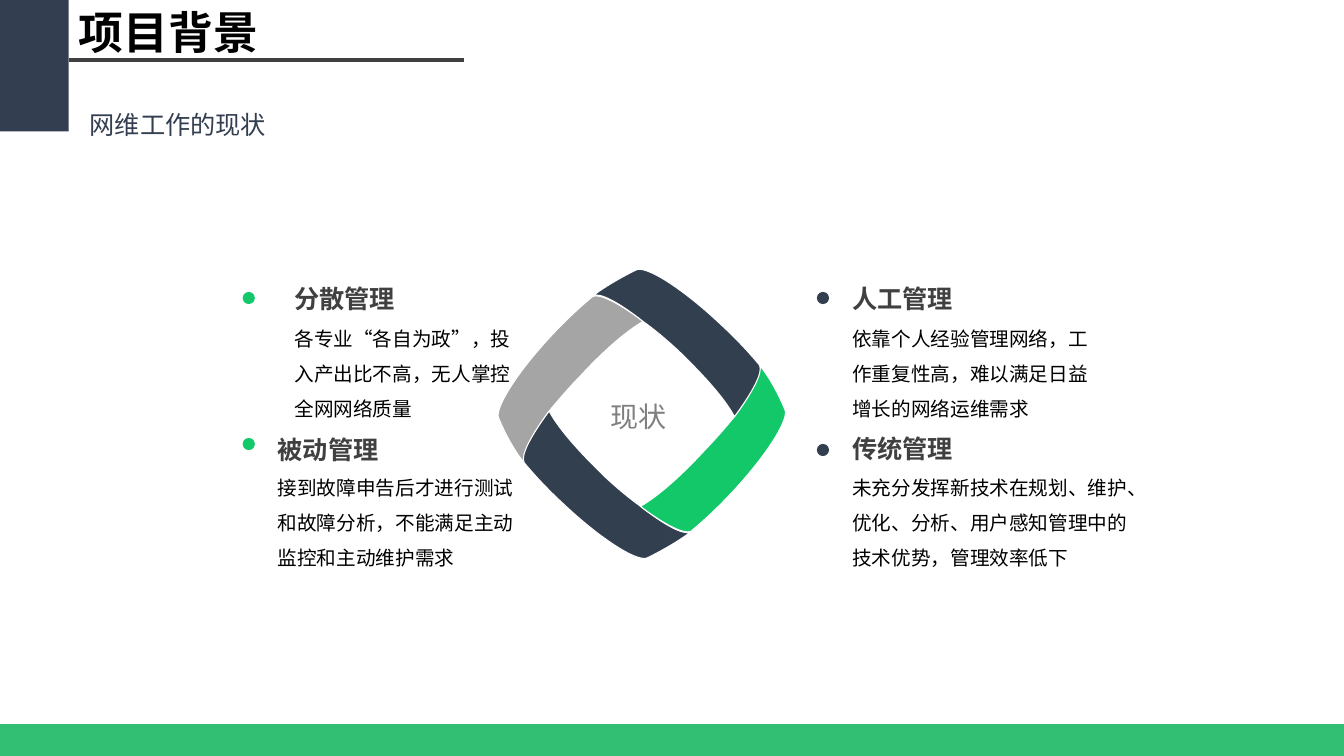
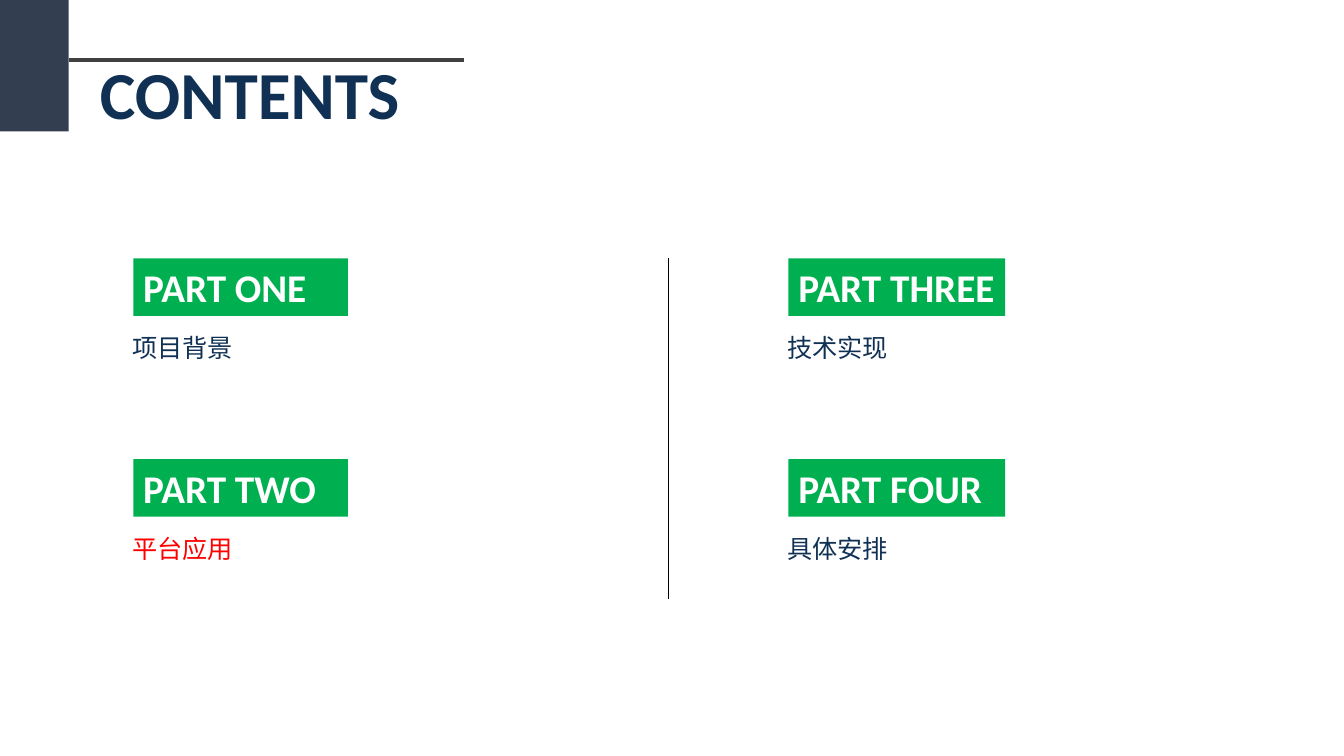
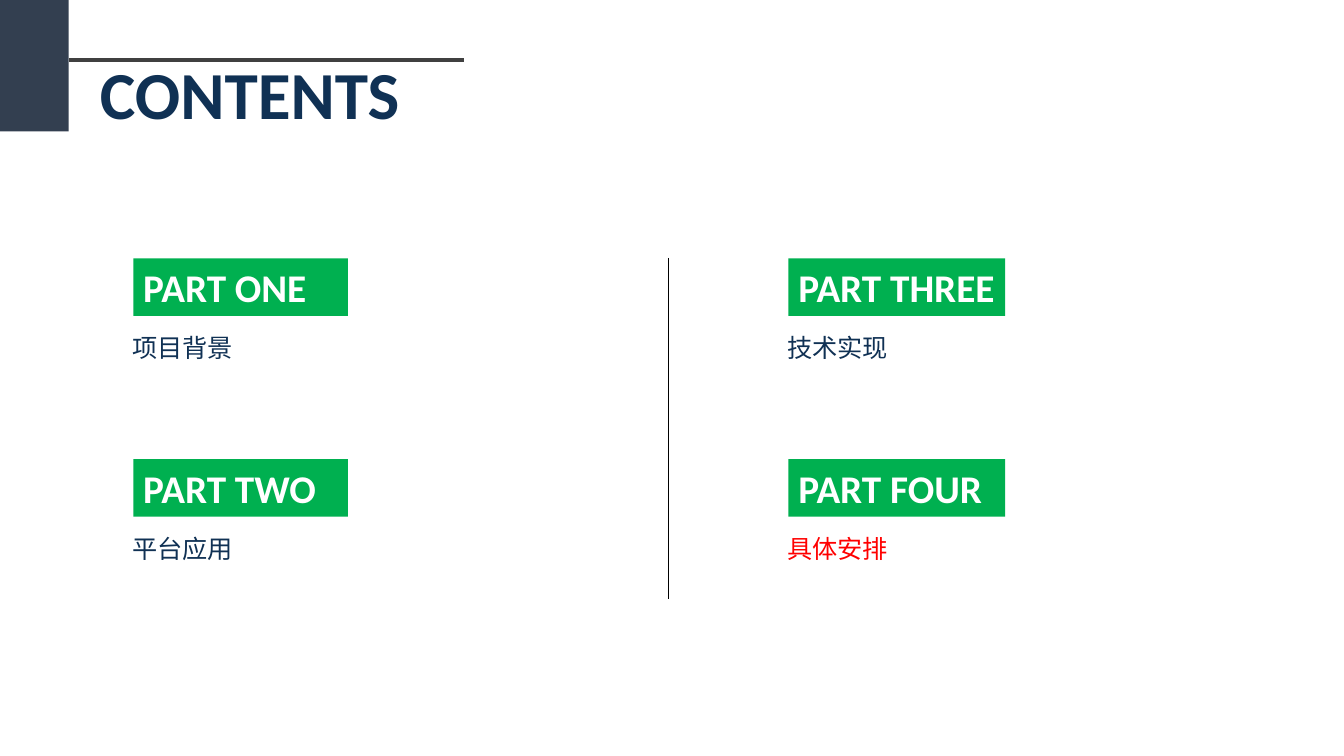
import itertools

import pptx
import pptx.dml.color
import pptx.enum.lang
import pptx.enum.shapes
import pptx.enum.text
import pptx.oxml
import pptx.oxml.ns
import pptx.util
from pptx.util import Cm

RGBColor = pptx.dml.color.RGBColor
MSO_SHAPE = pptx.enum.shapes.MSO_SHAPE

SLATE = RGBColor(0x33, 0x3F, 0x50)
DARK = RGBColor(0x32, 0x3F, 0x4F)
CHARCOAL = RGBColor(0x40, 0x40, 0x40)
NAVY = RGBColor(0x10, 0x31, 0x54)
GREEN = RGBColor(0x00, 0xB0, 0x50)
BRIGHT_GREEN = RGBColor(0x12, 0xC8, 0x69)
LIME = RGBColor(0xA1, 0xD4, 0x69)
CORAL = RGBColor(0xED, 0x54, 0x63)
SILVER = RGBColor(0xA5, 0xA5, 0xA5)
GRAY = RGBColor(0x80, 0x80, 0x80)
RED = RGBColor(0xFF, 0x00, 0x00)
BLACK = RGBColor(0x00, 0x00, 0x00)
WHITE = RGBColor(0xFF, 0xFF, 0xFF)

CJK_FONT = "Noto Sans CJK SC"


def write_text(shape, text, size=18, color=BLACK, font="Calibri", east_asian="Calibri",
               bold=False, spacing=None, align=pptx.enum.text.PP_ALIGN.LEFT, grow=True,
               margins=(0.25, 0.13)):
    frame = shape.text_frame
    frame.word_wrap = True
    frame.auto_size = (pptx.enum.text.MSO_AUTO_SIZE.SHAPE_TO_FIT_TEXT if grow
                       else pptx.enum.text.MSO_AUTO_SIZE.NONE)
    frame.vertical_anchor = pptx.enum.text.MSO_ANCHOR.TOP
    frame.margin_left = frame.margin_right = Cm(margins[0])
    frame.margin_top = frame.margin_bottom = Cm(margins[1])
    paragraph = frame.paragraphs[0]
    paragraph.alignment = align
    paragraph.line_spacing = spacing
    run = paragraph.add_run()
    run.text = text
    run.font.size = pptx.util.Pt(size)
    run.font.bold = bold
    run.font.name = font
    run.font.color.rgb = color
    run.font.language_id = pptx.enum.lang.MSO_LANGUAGE_ID.SIMPLIFIED_CHINESE
    run.font._element.find(pptx.oxml.ns.qn("a:latin")).addnext(pptx.oxml.parse_xml(
        f'<a:ea {pptx.oxml.ns.nsdecls("a")} typeface="{east_asian}"/>'))


def paint(shape, fill, line=None):
    shape.shadow.inherit = False
    shape.fill.solid()
    shape.fill.fore_color.rgb = fill
    if line is None:
        shape.line.fill.background()
    else:
        shape.line.color.rgb = line
        shape.line.width = pptx.util.Pt(0.75)


presentation = pptx.Presentation()
presentation.slide_width = Cm(33.87)
presentation.slide_height = Cm(19.05)
title_only = presentation.slide_layouts[5]

background_title = dict(text="项目背景", size=32, font=CJK_FONT, bold=True)
contents_title = dict(text="CONTENTS", size=48, color=NAVY, bold=True)
background_box = (1.74, 0, 5.11, 1.63)
contents_box = (2.27, 1.19, 8.15, 2.31)
header_rule = (1.73, 1.51, 11.7, 1.51, CHARCOAL, 3)
contents_divider = (16.84, 6.5, 16.84, 15.1, BLACK, 1)

for title_format, title_box, rules in [
    (background_title, background_box, [header_rule]),
    (contents_title, contents_box, [header_rule, contents_divider]),
    (contents_title, contents_box, [header_rule, contents_divider]),
]:
    slide = presentation.slides.add_slide(title_only)
    title = slide.shapes.title
    title.left, title.top, title.width, title.height = map(Cm, title_box)
    write_text(title, **title_format)
    corner = slide.shapes.add_shape(MSO_SHAPE.RECTANGLE, 0, 0, Cm(1.73), Cm(3.31))
    paint(corner, SLATE)
    for *ends, color, width in rules:
        rule = slide.shapes.add_connector(
            pptx.enum.shapes.MSO_CONNECTOR.STRAIGHT, *map(Cm, ends))
        rule.line.color.rgb = color
        rule.line.width = pptx.util.Pt(width)
        rule._element.spPr.append(
            pptx.oxml.parse_xml(f'<a:effectLst {pptx.oxml.ns.nsdecls("a")}/>'))

background_slide, *contents_slides = presentation.slides
shapes = background_slide.shapes

subtitle = shapes.add_textbox(Cm(2.01), Cm(2.62), Cm(10.95), Cm(1.02))
write_text(subtitle, "网维工作的现状", color=SLATE)

left_ribbon = [
    (16.21, 8.1), (15.8, 8.33), (15.21, 8.84), (14.63, 9.47),
    (14.33, 9.78), (14.07, 10.08), (13.84, 10.36),
    (13.39, 10.97), (13.13, 11.48), (13.21, 11.66),
    (12.83, 11.2), (12.57, 10.54), (12.57, 10.54),
    (12.45, 10.31), (13.03, 9.37), (13.97, 8.38),
    (14.3, 8.03), (14.66, 7.7), (14.94, 7.47),
    (15.11, 7.39), (15.62, 7.65), (16.21, 8.1),
]
bottom_ribbon = [
    (17.4, 13.41), (16.97, 13.74), (16.33, 14.05), (16.33, 14.05),
    (16.1, 14.2), (15.14, 13.59), (14.17, 12.67),
    (13.79, 12.32), (13.46, 11.96), (13.21, 11.66),
    (13.11, 11.48), (13.39, 10.97), (13.84, 10.36),
    (14.07, 10.8), (14.61, 11.4), (15.24, 12.01),
    (15.54, 12.29), (15.85, 12.55), (16.13, 12.75),
    (16.74, 13.23), (17.22, 13.49), (17.4, 13.41),
]
bottom_joint = [(17.42, 13.39), (17.42, 13.41), (17.4, 13.41), (17.4, 13.41)]
right_ribbon, top_ribbon, top_joint = [
    [(32.35 - x, 20.86 - y) for x, y in outline]
    for outline in (left_ribbon, bottom_ribbon, bottom_joint)]

for outline, color in [
    (left_ribbon, SILVER), (bottom_ribbon, DARK), (bottom_joint, CORAL),
    (right_ribbon, BRIGHT_GREEN), (top_ribbon, DARK), (top_joint, LIME),
]:
    start, *controls = [(Cm(x), Cm(y)) for x, y in outline]
    builder = shapes.build_freeform(*start)
    builder.add_line_segments(controls, close=True)
    ribbon = builder.convert_to_shape()
    paint(ribbon, color, WHITE)
    segments = list(ribbon._element.iter(pptx.oxml.ns.qn("a:lnTo")))
    for first in range(0, len(segments), 3):
        curve = pptx.oxml.parse_xml(f'<a:cubicBezTo {pptx.oxml.ns.nsdecls("a")}/>')
        segments[first].addprevious(curve)
        for segment in segments[first:first + 3]:
            curve.append(segment[0])
            segment.getparent().remove(segment)

center_label = shapes.add_textbox(Cm(14.68), Cm(10.33), Cm(2.84), Cm(0.84))
write_text(center_label, "现状", size=20, color=GRAY, spacing=pptx.util.Pt(13.8),
           align=pptx.enum.text.PP_ALIGN.CENTER, grow=False, margins=(0.18, 0.1))

for color, dot_left, dot_top, left, heading_top, body_top, body_width, heading, body in [
    (BRIGHT_GREEN, 6.13, 7.37, 7.17, 7.01, 7.8, 6.35, "分散管理",
     "各专业“各自为政”，投入产出比不高，无人掌控全网网络质量"),
    (BRIGHT_GREEN, 6.13, 11.05, 6.75, 10.82, 11.56, 6.76, "被动管理",
     "接到故障申告后才进行测试和故障分析，不能满足主动监控和主动维护需求"),
    (DARK, 20.6, 7.37, 21.23, 7.01, 7.8, 6.6, "人工管理",
     "依靠个人经验管理网络，工作重复性高，难以满足日益增长的网络运维需求"),
    (DARK, 20.6, 11.2, 21.23, 10.8, 11.56, 7.49, "传统管理",
     "未充分发挥新技术在规划、维护、优化、分析、用户感知管理中的技术优势，管理效率低下"),
]:
    dot = shapes.add_shape(MSO_SHAPE.OVAL, Cm(dot_left), Cm(dot_top), Cm(0.28), Cm(0.28))
    paint(dot, color, color)
    heading_box = shapes.add_textbox(Cm(left), Cm(heading_top), Cm(4.4), Cm(1.02))
    write_text(heading_box, heading, color=CHARCOAL, font="Arial", bold=True)
    body_box = shapes.add_textbox(Cm(left), Cm(body_top), Cm(body_width), Cm(2.95))
    write_text(body_box, body, size=14, east_asian=CJK_FONT, spacing=pptx.util.Pt(25.2))

footer = shapes.add_shape(MSO_SHAPE.RECTANGLE, 0, Cm(18.25), presentation.slide_width, Cm(0.8))
paint(footer, GREEN)
footer_color = footer._element.spPr.find(".//" + pptx.oxml.ns.qn("a:srgbClr"))
footer_color.append(
    pptx.oxml.parse_xml(f'<a:alpha {pptx.oxml.ns.nsdecls("a")} val="80000"/>'))

columns = [(3.36, 5.41), (19.87, 5.46)]
rows = [6.51, 11.57]
parts = [("PART ONE", "项目背景"), ("PART TWO", "平台应用"),
         ("PART THREE", "技术实现"), ("PART FOUR", "具体安排")]

for slide, current in zip(contents_slides, ["平台应用", "具体安排"]):
    for ((left, width), top), (part, topic) in zip(itertools.product(columns, rows), parts):
        label = slide.shapes.add_shape(
            MSO_SHAPE.RECTANGLE, Cm(left), Cm(top), Cm(width), Cm(1.45))
        paint(label, GREEN)
        write_text(label, part, size=28, color=WHITE, bold=True)
        topic_box = slide.shapes.add_textbox(
            Cm(left - 0.28), Cm(top + 1.51), Cm(11.53), Cm(1.17))
        write_text(topic_box, topic, color=RED if topic == current else NAVY,
                   font=CJK_FONT, spacing=1.3)

presentation.save("out.pptx")
